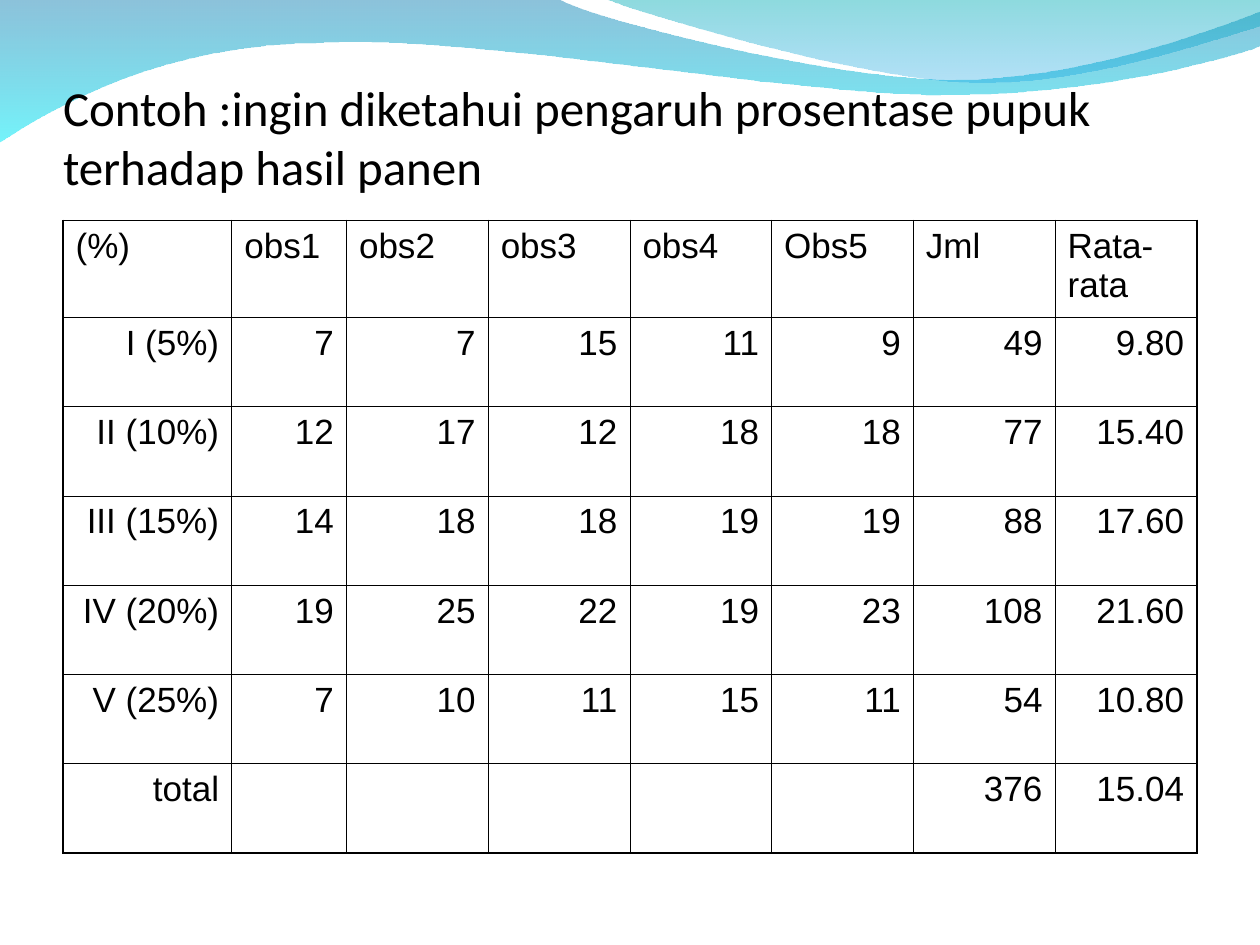
from lxml.etree import SubElement as Sub
from pptx import Presentation
from pptx.dml.color import RGBColor as Rgb
from pptx.enum.text import MSO_ANCHOR as Anchor, MSO_AUTO_SIZE as Fit, PP_ALIGN as Align
from pptx.oxml.ns import qn
from pptx.util import Inches, Pt

HUES = {"ink": "000000", "navy": "0079AF", "aqua": "00EBF8", "teal": "00ADB6", "sky": "009BE5"}
THIN, THICK = 0.45, 1.08

HEAD = ["(%)", "obs1", "obs2", "obs3", "obs4", "Obs5", "Jml", "Rata-rata"]
YIELDS = {
    "I (5%)": [7, 7, 15, 11, 9],
    "II (10%)": [12, 17, 12, 18, 18],
    "III (15%)": [14, 18, 18, 19, 19],
    "IV (20%)": [19, 25, 22, 19, 23],
    "V (25%)": [7, 10, 11, 15, 11],
}

# A pair is a line to that point; six numbers are a cubic curve.
BACK = [(0, -0.01), (4.42, -0.01), (4.76, 0.17, 6.64, 0.63, 7.58, 0.63),
        (8.53, 0.63, 9.58, 0.26, 10, 0.09), (10.01, 0.36), (9.83, 0.44, 8.7, 0.76, 7.46, 0.75),
        (6.22, 0.75, 3.82, 0.28, 2.57, 0.34), (1.29, 0.35, 0.46, 0.83, -0.01, 1.13)]
FRONT = [(4.8, -0.01), (5.09, 0.11, 6.82, 0.62, 7.69, 0.65),
         (8.56, 0.69, 9.61, 0.32, 10, 0.21), (10, 0)]


def bend(shape, parts):
    """Merge the three lines that stand for each curve into one cubic segment."""
    lines = iter(list(shape._element.iter(qn("a:lnTo"))))
    for part in parts[1:]:
        first = next(lines)
        if len(part) == 6:
            first.tag = qn("a:cubicBezTo")
            for _ in range(2):
                line = next(lines)
                first.append(line[0])
                line.getparent().remove(line)


def write(frame, text, font="Arial", size=20, hue="ink", align=Align.LEFT):
    para = frame.paragraphs[0]
    para.alignment = align
    run = para.add_run()
    run.text = text
    run.font.name, run.font.size = font, Pt(size)
    run.font.color.rgb = Rgb.from_string(HUES[hue])


def rule(cell, side, width):
    """Draw one border of a cell; side is L, R, T or B."""
    line = Sub(cell._tc.get_or_add_tcPr(), qn(f"a:ln{side}"), w=str(int(Pt(width))))
    Sub(Sub(line, qn("a:solidFill")), qn("a:srgbClr"), val=HUES["ink"])


class Page:
    def __init__(self, deck):
        self.slide = deck.slides.add_slide(deck.slide_layouts[5])

    def wave(self, parts, *stops):
        """Draw a filled outline; each stop is a hue and an opacity in percent."""
        dots = [(Inches(x), Inches(y)) for part in parts for x, y in zip(part[::2], part[1::2])]
        pen = self.slide.shapes.build_freeform(*dots[0], scale=1.0)
        pen.add_line_segments(dots[1:], close=True)
        shape = pen.convert_to_shape()
        bend(shape, parts)
        shape.shadow.inherit = False
        shape.line.fill.background()
        shape.fill.gradient()
        shape.fill.gradient_angle = 270
        for stop, (hue, _) in zip(shape.fill.gradient_stops, stops):
            stop.color.rgb = Rgb.from_string(HUES[hue])
        for color, (_, alpha) in zip(shape._element.spPr.iter(qn("a:srgbClr")), stops):
            Sub(color, qn("a:alpha"), val=str(alpha * 1000))

    def title(self, text, x, y, w, h):
        box = self.slide.shapes.title
        box.left, box.top, box.width, box.height = map(Inches, (x, y, w, h))
        frame = box.text_frame
        frame.margin_left = frame.margin_right = frame.margin_bottom = 0
        frame.margin_top = Inches(0.05)
        frame.word_wrap, frame.auto_size = True, Fit.NONE
        frame.vertical_anchor = Anchor.BOTTOM
        write(frame, text, font="Calibri", size=28)
        self.slide.shapes._spTree.append(box._element)  # in front of the waves

    def table(self, rows, x, y, widths, heights):
        box = (Inches(n) for n in (x, y, sum(widths), sum(heights)))
        grid = self.slide.shapes.add_table(len(rows), len(widths), *box).table
        grid.first_row = grid.horz_banding = False
        for col, width in zip(grid.columns, widths):
            col.width = Inches(width)
        for row, height in zip(grid.rows, heights):
            row.height = Inches(height)
        end, low = len(widths) - 1, len(rows) - 1
        for r, row in enumerate(rows):
            for c, text in enumerate(row):
                cell = grid.cell(r, c)
                edges = {"L": c == 0, "R": c == end, "T": r == 0, "B": r == low}
                for side, outer in edges.items():
                    rule(cell, side, THICK if outer else THIN)
                cell.fill.background()
                if text:
                    write(cell.text_frame, text, align=Align.RIGHT if r else Align.LEFT)


def tally():
    """List the table rows, with sums and means worked out."""
    rows = [HEAD]
    for name, obs in YIELDS.items():
        rows.append([name, *map(str, obs), str(sum(obs)), f"{sum(obs) / len(obs):.2f}"])
    every = sum(YIELDS.values(), [])
    rows.append(["total", *[""] * 5, str(sum(every)), f"{sum(every) / len(every):.2f}"])
    return rows


def main():
    deck = Presentation()
    deck.slide_width, deck.slide_height = Inches(10), Inches(7.5)
    page = Page(deck)
    page.wave(BACK, ("navy", 45), ("aqua", 55))
    page.wave(FRONT, ("teal", 45), ("sky", 30))
    page.title("Contoh :ingin diketahui pengaruh prosentase pupuk terhadap hasil panen", 0.5, 0.3, 9, 1.25)
    widths = [1.34, 0.91] + [(9 - 1.34 - 0.91) / 6] * 6
    heights = [0.77] + [(5.02 - 0.77) / 6] * 6
    page.table(tally(), 0.5, 1.75, widths, heights)
    deck.save("out.pptx")


if __name__ == "__main__":
    main()
